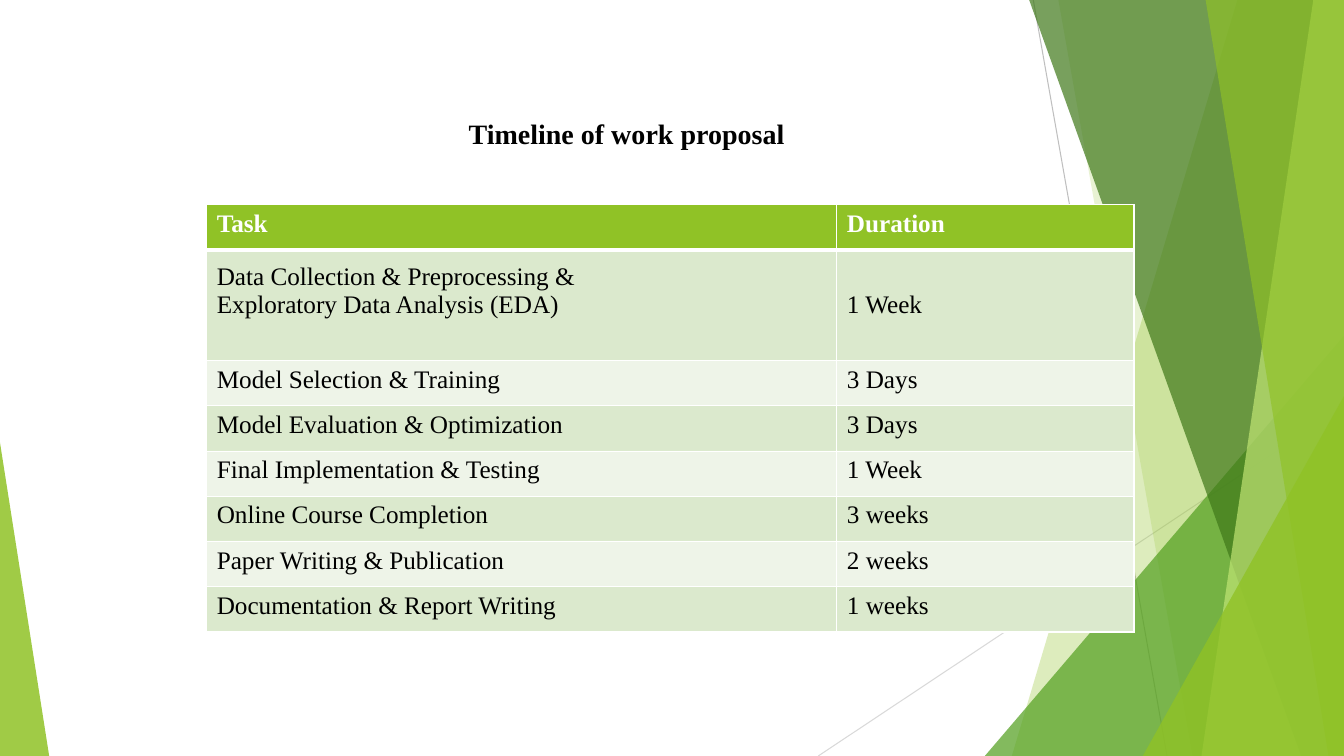
from dataclasses import dataclass

from lxml.etree import SubElement
from pptx import Presentation
from pptx.dml.color import RGBColor
from pptx.enum.shapes import MSO_CONNECTOR, MSO_SHAPE
from pptx.enum.text import MSO_ANCHOR
from pptx.oxml.ns import qn
from pptx.util import Cm, Pt

FONT = "Times New Roman"
BLACK = RGBColor(0x00, 0x00, 0x00)
WHITE = RGBColor(0xFF, 0xFF, 0xFF)
LIME = RGBColor(0x90, 0xC2, 0x26)
PALE_LIME = RGBColor(0xC0, 0xE4, 0x74)
GREEN = RGBColor(0x54, 0xA0, 0x21)
DARK_GREEN = RGBColor(0x3F, 0x78, 0x19)
ROW_TINTS = (RGBColor(0xDB, 0xE9, 0xCD), RGBColor(0xEE, 0xF4, 0xE8))
GREY = RGBColor(0xBF, 0xBF, 0xBF)
LIGHT_GREY = RGBColor(0xD9, 0xD9, 0xD9)

SLIDE_WIDTH, SLIDE_HEIGHT = 33.87, 19.05
BAND_TOP = -0.02
ROW_HEIGHT, TALL_ROW_HEIGHT = 1.14, 2.79
COLUMN_WIDTHS = (15.88, 7.49)


@dataclass(frozen=True)
class Ray:
    start: tuple[float, float]
    end: tuple[float, float]
    color: RGBColor


@dataclass(frozen=True)
class Band:
    """A facet from a slanted left edge to the right edge of the slide."""
    top_x: float
    bottom_x: float
    color: RGBColor
    opacity: int


@dataclass(frozen=True)
class Wedge:
    """A right triangle standing on the bottom edge of the slide."""
    left: float
    width: float
    height: float
    apex: float
    color: RGBColor
    opacity: int


@dataclass(frozen=True)
class Task:
    name: str
    duration: str


RAYS = (
    Ray((26.04, 0), (29.41, SLIDE_HEIGHT), GREY),
    Ray((SLIDE_WIDTH, 10.24), (20.62, SLIDE_HEIGHT), LIGHT_GREY),
)
FACETS = (
    Band(31.19, 25.5, LIME, 30),
    Band(26.67, 30.05, LIME, 20),
    Wedge(24.82, 9.05, 10.59, 1, GREEN, 72),
    Band(25.93, 32.79, DARK_GREEN, 70),
    Band(33.1, 30.28, PALE_LIME, 70),
    Band(30.38, 33.48, LIME, 65),
    Wedge(28.8, 5.07, 9.07, 1, LIME, 80),
    Wedge(0, 1.24, 7.9, 0, LIME, 85),
)
TASKS = (
    Task("Data Collection & Preprocessing &\nExploratory Data Analysis (EDA)", "1 Week"),
    Task("Model Selection & Training", "3 Days"),
    Task("Model Evaluation & Optimization", "3 Days"),
    Task("Final Implementation & Testing", "1 Week"),
    Task("Online Course Completion", "3 weeks"),
    Task("Paper Writing & Publication", "2 weeks"),
    Task("Documentation & Report Writing", "1 weeks"),
)


def write_text(frame, text: str, *, size: float = 18, color: RGBColor = BLACK,
               bold: bool = False) -> None:
    frame.text = text
    for paragraph in frame.paragraphs:
        for run in paragraph.runs:
            run.font.name = FONT
            run.font.size = Pt(size)
            run.font.bold = bold
            run.font.color.rgb = color


def draw_ray(slide, ray: Ray) -> None:
    connector = slide.shapes.add_connector(
        MSO_CONNECTOR.STRAIGHT, *map(Cm, ray.start + ray.end))
    connector.line.color.rgb = ray.color
    connector.line.width = Pt(0.75)
    SubElement(connector._element.spPr, qn("a:effectLst"))


def draw_facet(slide, facet: Band | Wedge) -> None:
    if isinstance(facet, Band):
        outline = slide.shapes.build_freeform(Cm(facet.top_x), Cm(BAND_TOP))
        corners = ((SLIDE_WIDTH, BAND_TOP), (SLIDE_WIDTH, SLIDE_HEIGHT),
                   (facet.bottom_x, SLIDE_HEIGHT))
        outline.add_line_segments([(Cm(x), Cm(y)) for x, y in corners])
        shape = outline.convert_to_shape()
    else:
        shape = slide.shapes.add_shape(
            MSO_SHAPE.ISOSCELES_TRIANGLE, Cm(facet.left),
            Cm(SLIDE_HEIGHT - facet.height), Cm(facet.width), Cm(facet.height))
        shape.adjustments[0] = facet.apex
    shape.shadow.inherit = False
    shape.line.fill.background()
    shape.fill.solid()
    shape.fill.fore_color.rgb = facet.color
    color = shape._element.spPr.find(f"{qn('a:solidFill')}/{qn('a:srgbClr')}")
    SubElement(color, qn("a:alpha"), val=str(facet.opacity * 1000))


def style_cell(cell, fill: RGBColor, top: float = 1, bottom: float = 1) -> None:
    """Give a cell its fill and white borders; widths are in points."""
    properties = cell._tc.get_or_add_tcPr()
    for side, width in (("L", 1), ("R", 1), ("T", top), ("B", bottom)):
        border = SubElement(properties, qn(f"a:ln{side}"), w=str(Pt(width)))
        SubElement(SubElement(border, qn("a:solidFill")), qn("a:srgbClr"), val=str(WHITE))
    cell.fill.solid()
    cell.fill.fore_color.rgb = fill


def draw_schedule(slide) -> None:
    heights = [ROW_HEIGHT, TALL_ROW_HEIGHT] + [ROW_HEIGHT] * (len(TASKS) - 1)
    schedule = slide.shapes.add_table(
        len(heights), len(COLUMN_WIDTHS), Cm(5.21), Cm(5.16),
        Cm(sum(COLUMN_WIDTHS)), Cm(sum(heights))).table
    schedule.horz_banding = False
    for column, width in zip(schedule.columns, COLUMN_WIDTHS):
        column.width = Cm(width)
    for row, height in zip(schedule.rows, heights):
        row.height = Cm(height)

    for cell, heading in zip(schedule.rows[0].cells, ("Task", "Duration")):
        write_text(cell.text_frame, heading, color=WHITE, bold=True)
        style_cell(cell, LIME, bottom=3)
    for index, task in enumerate(TASKS):
        for cell, text in zip(schedule.rows[index + 1].cells, (task.name, task.duration)):
            write_text(cell.text_frame, text)
            style_cell(cell, ROW_TINTS[index % 2], top=3 if index == 0 else 1)
    for cell in schedule.rows[1].cells:
        cell.vertical_anchor = MSO_ANCHOR.MIDDLE
    schedule.cell(1, 0).margin_bottom = Cm(0.84)


def main() -> None:
    presentation = Presentation()
    presentation.slide_width = Cm(SLIDE_WIDTH)
    presentation.slide_height = Cm(SLIDE_HEIGHT)
    slide = presentation.slides.add_slide(presentation.slide_layouts[6])

    for ray in RAYS:
        draw_ray(slide, ray)
    for facet in FACETS:
        draw_facet(slide, facet)

    title = slide.shapes.add_textbox(Cm(11.56), Cm(2.82), Cm(14.78), Cm(2.74)).text_frame
    title.word_wrap = True
    write_text(title, "Timeline of work proposal", size=20, bold=True)
    draw_schedule(slide)
    presentation.save("out.pptx")


if __name__ == "__main__":
    main()
